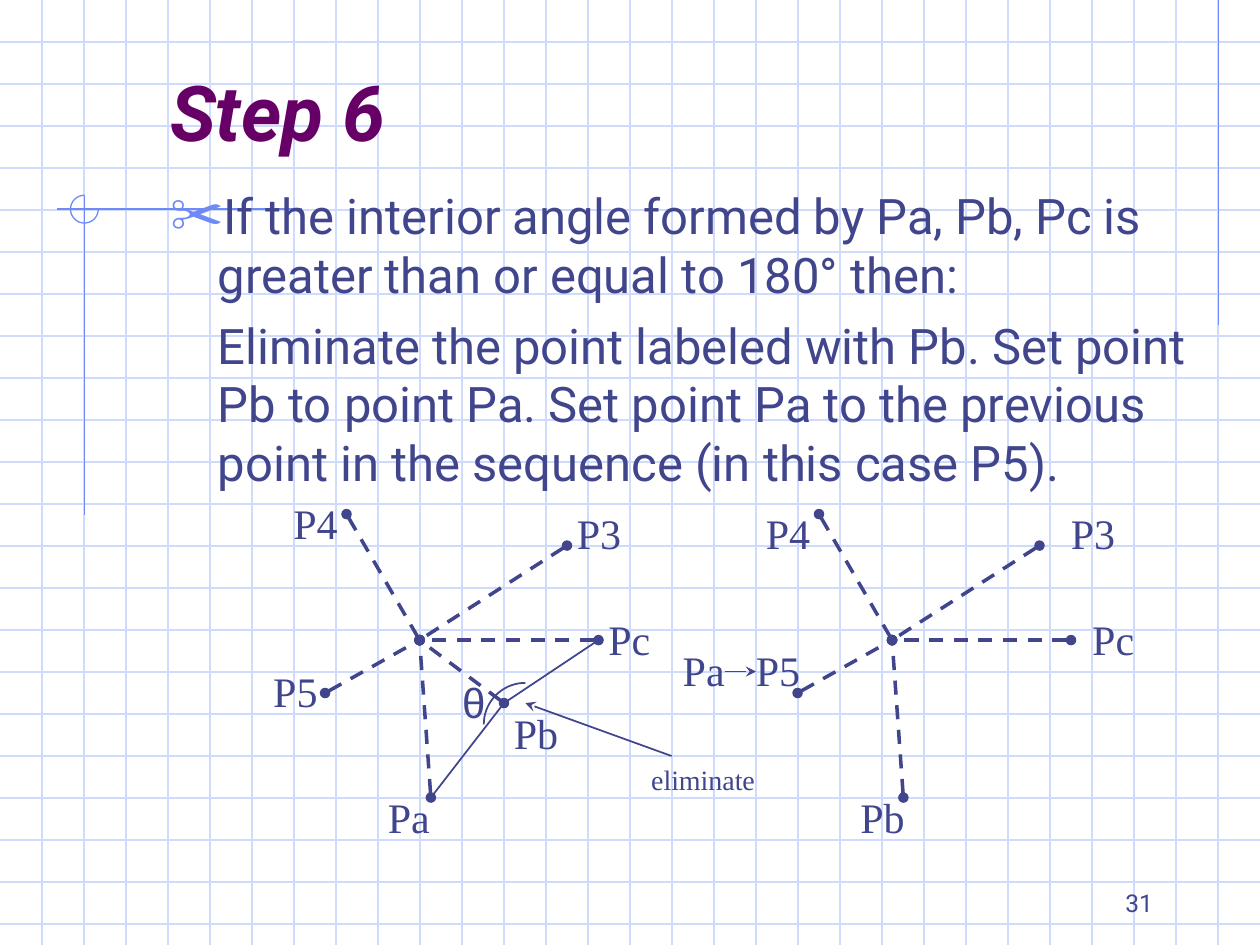
from dataclasses import dataclass
from math import cos, radians, sin
from typing import Optional

from lxml.etree import SubElement
from pptx import Presentation
from pptx.dml.color import RGBColor
from pptx.enum.dml import MSO_LINE_DASH_STYLE as Dash
from pptx.enum.shapes import MSO_CONNECTOR as Connector
from pptx.enum.text import MSO_ANCHOR as Anchor, MSO_AUTO_SIZE as AutoSize, PP_ALIGN as Align
from pptx.oxml.ns import qn
from pptx.util import Inches, Pt

GRID = RGBColor(0xCF, 0xDB, 0xFD)
ACCENT = RGBColor(0x6F, 0x89, 0xF7)
INK = RGBColor(0x40, 0x45, 0x8C)
PLUM = RGBColor(0x66, 0x00, 0x66)
SERIF = "Times New Roman"
SANS = "Roboto"

Point = tuple[float, float]


@dataclass
class Label:
    text: str
    left: float
    top: float
    width: float = 0.55
    height: float = 0.5
    size: int = 24
    font: str = SERIF


@dataclass
class Star:
    hub: Point
    tips: list[Point]


LEFT_TIPS = [(4.5, 4.33), (2.75, 4.08), (4.75, 5.08), (2.58, 5.5), (3.42, 6.33)]
PB = (4, 5.58)
SHIFT = 3.75
STARS = [
    Star((3.33, 5.08), LEFT_TIPS + [PB]),
    Star((3.33 + SHIFT, 5.08), [(x + SHIFT, y) for x, y in LEFT_TIPS]),
]
LABELS = [
    # Before the elimination
    Label("P3", 4.48, 3.98),
    Label("P5", 2.07, 5.23),
    Label("Pa", 2.98, 6.23),
    Label("Pb", 3.98, 5.57),
    Label("Pc", 4.73, 4.82),
    Label("θ", 3.57, 5.32, width=0.38, font="Arial"),
    Label("eliminate", 5.07, 6, width=1.03, height=0.37, size=16),
    Label("P4", 2.23, 3.9),
    # After the elimination
    Label("Pb", 6.73, 6.23),
    Label("Pc", 8.57, 4.82),
    Label("P3", 8.4, 3.98),
    Label("P4", 5.98, 3.98),
    Label("P5", 5.9, 5.07),
    Label("Pa", 5.32, 5.07),
]


def add_line(slide, start: Point, end: Point, color: RGBColor = INK, width: float = 1,
             dashed: bool = False, head: Optional[str] = None, tail: Optional[str] = None) -> None:
    line = slide.shapes.add_connector(Connector.STRAIGHT, *map(Inches, start + end))
    line.line.color.rgb = color
    line.line.width = Pt(width)
    if dashed:
        line.line.dash_style = Dash.DASH
    outline = line.line._get_or_add_ln()
    for tag, kind in (("a:headEnd", head), ("a:tailEnd", tail)):
        if kind:
            SubElement(outline, qn(tag)).set("type", kind)
    SubElement(line.element.spPr, qn("a:effectLst"))


def add_arc(slide, center: Point, radius: float, start: int, end: int,
            color: RGBColor, width: float) -> None:
    """Draw an open arc; angles are in degrees, clockwise from the right."""
    step = 5 if end > start else -5
    points = [(Inches(center[0] + radius * cos(radians(angle))),
               Inches(center[1] + radius * sin(radians(angle))))
              for angle in range(start, end + step, step)]
    builder = slide.shapes.build_freeform(*points[0])
    builder.add_line_segments(points[1:], close=False)
    arc = builder.convert_to_shape()
    arc.shadow.inherit = False
    arc.fill.background()
    arc.line.color.rgb = color
    arc.line.width = Pt(width)


def style_text(paragraph, font: str, size: int, color: RGBColor = INK) -> None:
    paragraph.font.name = font
    paragraph.font.size = Pt(size)
    paragraph.font.color.rgb = color


def add_label(slide, label: Label) -> None:
    box = slide.shapes.add_textbox(*map(Inches, (label.left, label.top, label.width, label.height)))
    frame = box.text_frame
    frame.word_wrap = False
    frame.auto_size = AutoSize.SHAPE_TO_FIT_TEXT
    frame.text = label.text
    style_text(frame.paragraphs[0], label.font, label.size)


def place(shape, left: float, top: float, width: float, height: float, anchor: Anchor) -> None:
    shape.left, shape.top, shape.width, shape.height = map(Inches, (left, top, width, height))
    shape.text_frame.word_wrap = True
    shape.text_frame.auto_size = AutoSize.NONE
    shape.text_frame.vertical_anchor = anchor


def set_indent(paragraph, first_line: float, bullet: Optional[str] = None) -> None:
    properties = paragraph._p.get_or_add_pPr()
    properties.set("marL", str(Inches(0.38)))
    properties.set("indent", str(Inches(first_line)))
    if bullet:
        bullet_color = SubElement(properties, qn("a:buClr"))
        SubElement(bullet_color, qn("a:srgbClr")).set("val", str(ACCENT))
        SubElement(properties, qn("a:buSzPct")).set("val", "110000")
        SubElement(properties, qn("a:buChar")).set("char", bullet)
    else:
        SubElement(properties, qn("a:buNone"))


def add_background(slide) -> None:
    for row in range(1, 23):
        add_line(slide, (0, row / 3), (10, row / 3), GRID, 0.75)
    for column in range(1, 30):
        add_line(slide, (column / 3, 0), (column / 3, 7.5), GRID, 0.75)
    add_line(slide, (9.67, 0), (9.67, 2.58), ACCENT, 0.75)
    add_line(slide, (2.4, 1.66), (0.45, 1.66), ACCENT, 0.75)
    add_line(slide, (0.67, 1.55), (0.67, 4.09), ACCENT, 0.75)
    add_arc(slide, (0.67, 1.66), 0.11, 270, 0, ACCENT, 0.75)


def fill_placeholders(slide) -> None:
    title, body = slide.shapes.title, slide.placeholders[1]
    for shape in (title, body):  # bring in front of the grid
        shape.element.getparent().append(shape.element)

    place(title, 1.25, 0.25, 8.5, 1.25, Anchor.MIDDLE)
    title.text_frame.text = "Step 6"
    heading = title.text_frame.paragraphs[0]
    heading.alignment = Align.LEFT
    style_text(heading, SANS, 44, PLUM)
    heading.font.bold = heading.font.italic = True

    place(body, 1.25, 1.42, 8.5, 5.33, Anchor.TOP)
    body.text_frame.text = (
        "If the interior angle formed by Pa, Pb, Pc is greater than or equal to 180° then:\n"
        "Eliminate the point labeled with Pb. Set point Pb to point Pa. "
        "Set point Pa to the previous point in the sequence (in this case P5).")
    condition, action = body.text_frame.paragraphs
    set_indent(condition, -0.38, "✂")
    set_indent(action, 0)
    for paragraph, space in ((condition, 0), (action, 7)):
        paragraph.space_before = Pt(space)
        style_text(paragraph, SANS, 28)


def add_page_number(slide) -> None:
    box = slide.shapes.add_textbox(0, 0, 0, 0)
    place(box, 7.17, 6.83, 2.08, 0.5, Anchor.BOTTOM)
    box.text_frame.text = "31"
    number = box.text_frame.paragraphs[0]
    number.alignment = Align.RIGHT
    style_text(number, SANS, 14)


def add_diagrams(slide) -> None:
    for star in STARS:
        for tip in star.tips:
            add_line(slide, tip, star.hub, width=2, dashed=True, head="oval", tail="oval")
    # Interior angle at Pb
    add_line(slide, (4.75, 5.08), PB)
    add_line(slide, PB, (3.42, 6.33))
    add_arc(slide, (4.17, 5.75), 0.33, 180, 270, INK, 1)
    # Arrows
    add_line(slide, (4.17, 5.58), (5.33, 6), head="stealth")
    add_line(slide, (5.75, 5.33), (6, 5.33), tail="stealth")
    for label in LABELS:
        add_label(slide, label)


def main() -> None:
    presentation = Presentation()
    presentation.slide_width, presentation.slide_height = Inches(10), Inches(7.5)
    slide = presentation.slides.add_slide(presentation.slide_layouts[1])
    add_background(slide)
    add_page_number(slide)
    fill_placeholders(slide)
    add_diagrams(slide)
    presentation.save("out.pptx")


if __name__ == "__main__":
    main()
